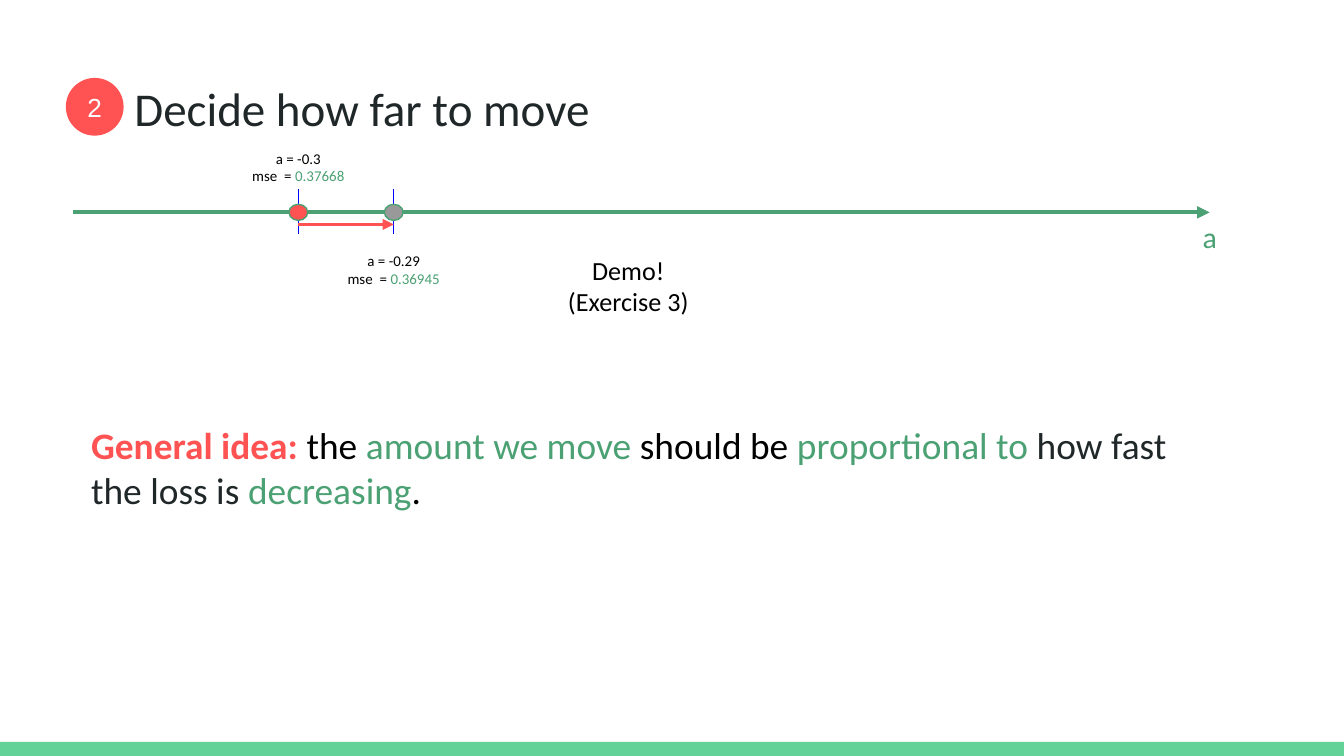
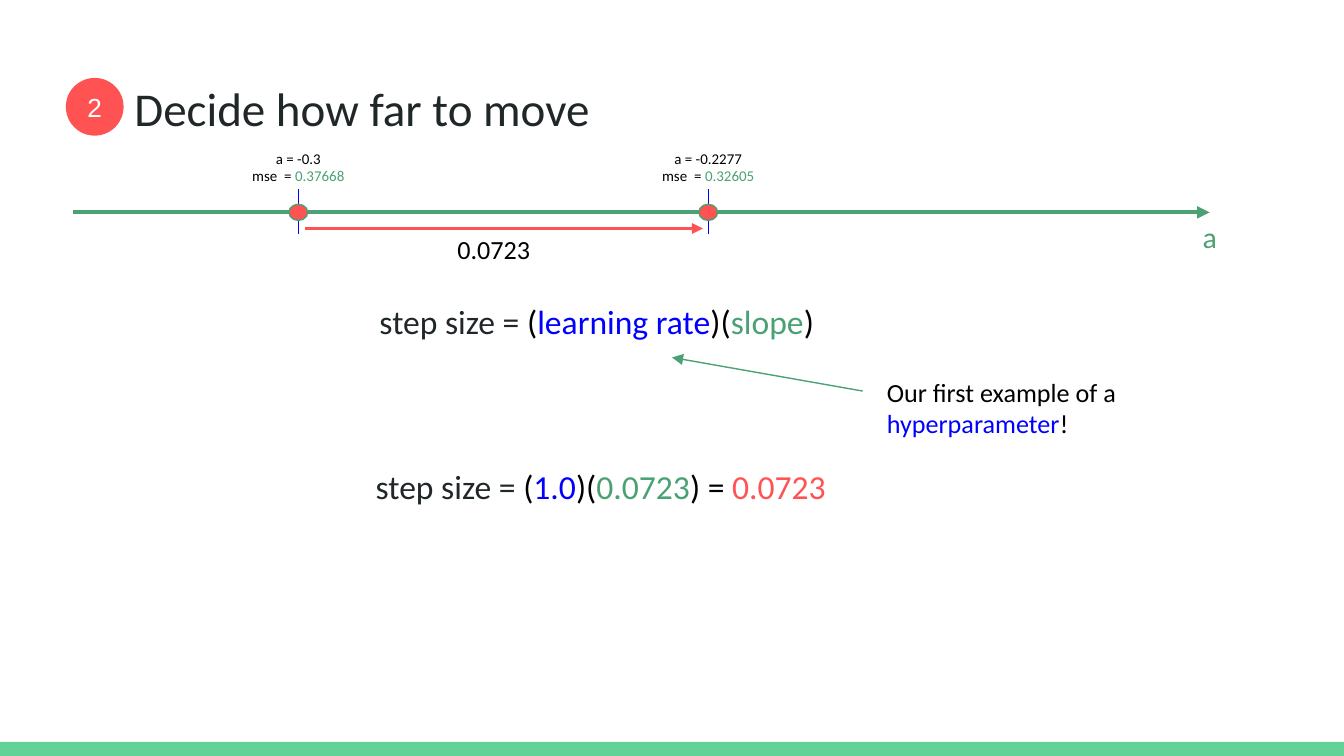
"""Build two slides on choosing the step size in gradient descent."""
from dataclasses import dataclass

from lxml import etree
from pptx import Presentation
from pptx import util as u
from pptx.dml.color import RGBColor
from pptx.enum import shapes, text
from pptx.oxml import ns

COLORS = {
    "band": "63D297",
    "green": "4BA173",
    "red": "FF5252",
    "blue": "0000FF",
    "dark": "202729",
    "black": "000000",
    "gray": "999999",
    "white": "FFFFFF",
}
LEFT, CENTER = text.PP_ALIGN.LEFT, text.PP_ALIGN.CENTER
AXIS_Y = 1.58
TICK_TOP, TICK_BOTTOM = 1.41, 1.74
DOT_WIDTH, DOT_HEIGHT = 0.14, 0.12
LABEL_WIDTH, LABEL_HEIGHT = 1.03, 0.47
LABEL_ABOVE, LABEL_BELOW = 1.01, 1.77


@dataclass(frozen=True)
class Run:
    """A piece of text in one colour."""
    words: str
    color: str = "black"
    bold: bool = False


@dataclass(frozen=True)
class Marker:
    """A value of a on the number line with its loss."""
    x: float
    a: str
    mse: str
    color: str = "red"
    label_top: float = LABEL_ABOVE


@dataclass(frozen=True)
class Arrow:
    """A straight line between two points."""
    start: tuple[float, float]
    end: tuple[float, float]
    color: str
    width: float
    head: bool = True


@dataclass(frozen=True)
class TextBox:
    """A block of paragraphs with its place and format."""
    box: tuple[float, float, float, float]
    paragraphs: list[list[Run]]
    size: float
    align: text.PP_ALIGN = LEFT


START = Marker(2.22, "-0.3", "0.37668")


def rgb(name: str) -> RGBColor:
    """Return the named colour."""
    return RGBColor.from_string(COLORS[name])


def write(frame, paragraphs: list[list[Run]], *, size: float, align=LEFT,
          font: str = "Calibri", anchor=text.MSO_ANCHOR.TOP, left_margin: float = 0.1) -> None:
    """Fill a text frame with formatted paragraphs."""
    frame.word_wrap = True
    frame.vertical_anchor = anchor
    frame.margin_left = u.Inches(left_margin)
    frame.margin_right = frame.margin_top = frame.margin_bottom = u.Inches(0.1)
    for index, runs in enumerate(paragraphs):
        paragraph = frame.add_paragraph() if index else frame.paragraphs[0]
        paragraph.alignment = align
        for piece in runs:
            run = paragraph.add_run()
            run.text = piece.words
            run.font.name = font
            run.font.size = u.Pt(size)
            run.font.bold = piece.bold
            run.font.color.rgb = rgb(piece.color)


def add_text(slide, item: TextBox, **options) -> None:
    """Add a text box."""
    shape = slide.shapes.add_textbox(*map(u.Inches, item.box))
    write(shape.text_frame, item.paragraphs, size=item.size, align=item.align, **options)


def add_filled(slide, kind, box: tuple[float, float, float, float], fill: str,
               outline: str | None = None):
    """Add a filled shape with an optional thin outline."""
    shape = slide.shapes.add_shape(kind, *map(u.Inches, box))
    shape.shadow.inherit = False
    shape.fill.solid()
    shape.fill.fore_color.rgb = rgb(fill)
    if outline:
        shape.line.color.rgb = rgb(outline)
        shape.line.width = u.Pt(0.75)
    else:
        shape.line.fill.background()
    return shape


def add_arrow(slide, arrow: Arrow) -> None:
    """Add a straight connector with an optional arrowhead."""
    points = map(u.Inches, (*arrow.start, *arrow.end))
    connector = slide.shapes.add_connector(shapes.MSO_CONNECTOR.STRAIGHT, *points)
    connector.line.color.rgb = rgb(arrow.color)
    connector.line.width = u.Pt(arrow.width)
    if arrow.head:
        line = connector.line._get_or_add_ln()
        etree.SubElement(line, ns.qn("a:tailEnd"), type="triangle")
    etree.SubElement(connector._element.spPr, ns.qn("a:effectLst"))


def add_marker(slide, marker: Marker) -> None:
    """Add a dot and its label to the number line."""
    dot = (marker.x - DOT_WIDTH / 2, AXIS_Y - DOT_HEIGHT / 2, DOT_WIDTH, DOT_HEIGHT)
    add_filled(slide, shapes.MSO_SHAPE.OVAL, dot, marker.color, "green")
    label = (marker.x - LABEL_WIDTH / 2, marker.label_top, LABEL_WIDTH, LABEL_HEIGHT)
    lines = [[Run(f"a = {marker.a}")], [Run("mse  = "), Run(marker.mse, "green")]]
    add_text(slide, TextBox(label, lines, 8, CENTER))


def add_slide(presentation, markers: list[Marker], arrows: list[Arrow],
              boxes: list[TextBox]) -> None:
    """Add a slide with the shared frame, number line and given content."""
    slide = presentation.slides.add_slide(presentation.slide_layouts[6])
    add_filled(slide, shapes.MSO_SHAPE.RECTANGLE, (0, 5.52, 10, 0.11), "band")
    title = TextBox((0.34, 0.49, 9.32, 0.63), [[Run("Decide how far to move", "dark")]], 25.2)
    add_text(slide, title, left_margin=0.66)
    badge = add_filled(slide, shapes.MSO_SHAPE.OVAL, (0.49, 0.58, 0.43, 0.43), "red")
    write(badge.text_frame, [[Run("2", "white")]], size=14, align=CENTER, font="Arial",
          anchor=text.MSO_ANCHOR.MIDDLE)
    for marker in markers:
        add_arrow(slide, Arrow((marker.x, TICK_TOP), (marker.x, TICK_BOTTOM),
                               "blue", 0.75, head=False))
    add_arrow(slide, Arrow((0.54, AXIS_Y), (9, AXIS_Y), "green", 2.25))
    add_text(slide, TextBox((8.85, 1.53, 0.26, 0.47), [[Run("a", "green")]], 16))
    for marker in markers:
        add_marker(slide, marker)
    for arrow in arrows:
        add_arrow(slide, arrow)
    for item in boxes:
        add_text(slide, item)


def step_size(left: float, top: float, rate: str, slope: str, *result: Run) -> TextBox:
    """Return the step size formula as a text box."""
    runs = [Run("step size =", "dark"), Run(" ("), Run(rate, "blue"), Run(")("),
            Run(slope, "green"), *result]
    return TextBox((left, top, 3.9, 0.5), [runs], 18, CENTER)


def main() -> None:
    """Build and save the presentation."""
    presentation = Presentation()
    presentation.slide_width = u.Inches(10)
    presentation.slide_height = u.Inches(10 * 9 / 16)

    nearby = Marker(2.93, "-0.29", "0.36945", "gray", LABEL_BELOW)
    idea = [Run("General idea:", "red", True), Run(" the "), Run("amount we move", "green"),
            Run(" should be "), Run("proportional to ", "green"),
            Run("how fast the loss is ", "dark"), Run("decreasing", "green"), Run(".")]
    add_slide(
        presentation,
        [START, nearby],
        [Arrow((START.x, 1.67), (nearby.x, 1.67), "red", 1.5)],
        [TextBox((3.97, 1.79, 1.41, 0.67), [[Run("Demo! (Exercise 3)")]], 14, CENTER),
         TextBox((0.58, 3.04, 8.6, 0.88), [idea], 20)],
    )

    stepped = Marker(5.27, "-0.2277", "0.32605")
    hyperparameter = [Run("Our first example of a "), Run("hyperparameter", "blue"), Run("!")]
    add_slide(
        presentation,
        [START, stepped],
        [Arrow((2.27, 1.7), (5.23, 1.7), "red", 1.5),
         Arrow((6.42, 2.91), (5, 2.66), "green", 0.75)],
        [step_size(2.49, 2.14, "learning rate", "slope", Run(")")),
         TextBox((6.5, 2.7, 2.67, 0.67), [hyperparameter], 14),
         step_size(2.52, 3.37, "1.0", "0.0723", Run(") = "), Run("0.0723", "red")),
         TextBox((2.99, 1.64, 1.37, 0.44), [[Run("0.0723")]], 14, CENTER)],
    )
    presentation.save("out.pptx")


if __name__ == "__main__":
    main()
